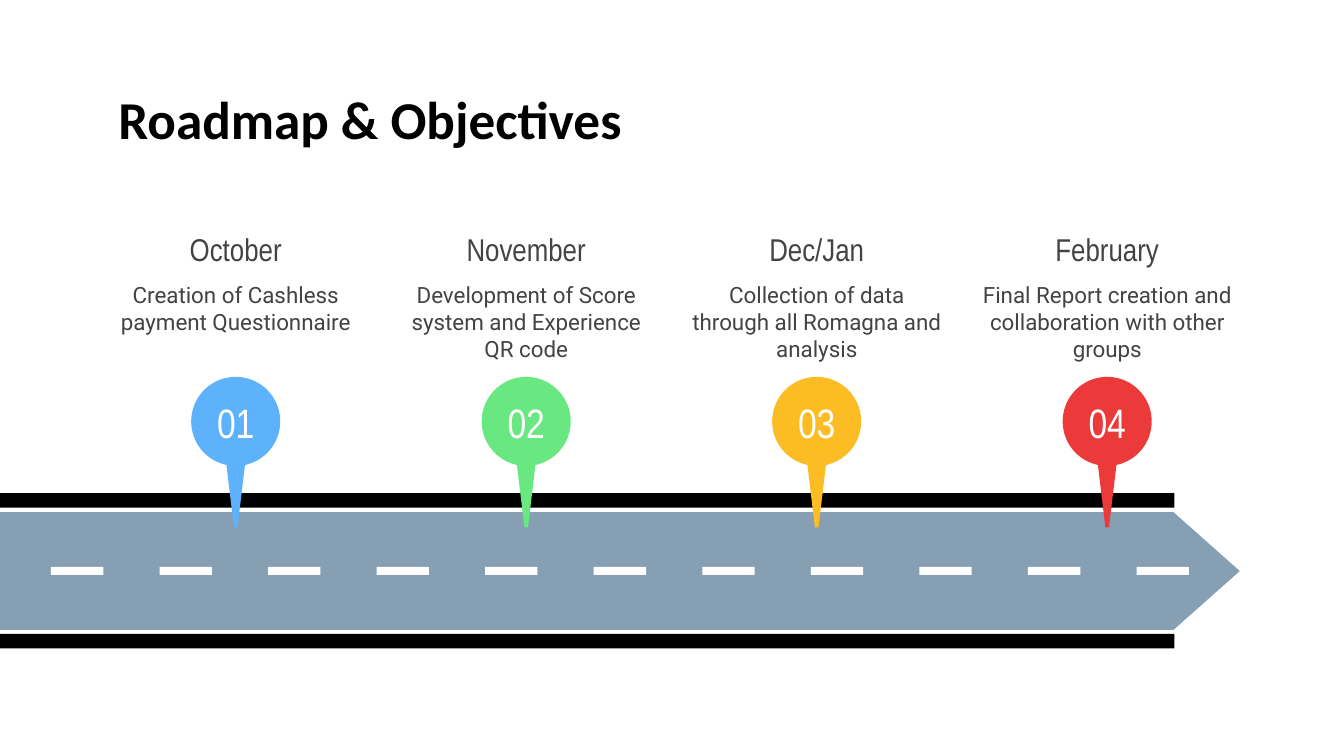
from math import cos, radians, sin

from pptx import Presentation
from pptx.dml.color import RGBColor
from pptx.enum.shapes import MSO_SHAPE
from pptx.enum.text import MSO_ANCHOR, PP_ALIGN
from pptx.util import Pt

RECT = MSO_SHAPE.RECTANGLE
TOP, MIDDLE = MSO_ANCHOR.TOP, MSO_ANCHOR.MIDDLE
LEFT, CENTER = PP_ALIGN.LEFT, PP_ALIGN.CENTER

STEPS = [
    ("October", "Creation of Cashless payment Questionnaire", "5EB2FC"),
    ("November", "Development of Score system and Experience QR code", "69E781"),
    ("Dec/Jan", "Collection of data through all Romagna and analysis", "FCBD24"),
    ("February", "Final Report creation and collaboration with other groups", "EC3A3B"),
]


def color(code):
    return RGBColor.from_string(code)


class Board:
    head = "Calibri"
    label = "Arial Narrow"
    body = "Roboto"
    ink = "434343"
    inset = 9.6

    def __init__(self, slide):
        self.shapes = slide.shapes

    def paint(self, shape, fill):
        shape.shadow.inherit = False
        shape.fill.solid()
        shape.fill.fore_color.rgb = color(fill)
        shape.line.fill.background()
        return shape

    def bar(self, x, y, w, h, fill):
        self.paint(self.shapes.add_shape(RECT, Pt(x), Pt(y), Pt(w), Pt(h)), fill)

    def outline(self, points, fill):
        """Draw a filled closed polygon through the points."""
        start, *rest = [(Pt(x), Pt(y)) for x, y in points]
        pen = self.shapes.build_freeform(*start, scale=1.0)
        pen.add_line_segments(rest, close=True)
        return self.paint(pen.convert_to_shape(), fill)

    def letter(self, shape, text, size, font, ink, align=CENTER,
               anchor=TOP, top=inset, bold=False):
        """Put styled text into a shape."""
        frame = shape.text_frame
        frame.text = text
        frame.word_wrap = True
        frame.vertical_anchor = anchor
        frame.margin_left = frame.margin_right = Pt(self.inset)
        frame.margin_top, frame.margin_bottom = Pt(top), Pt(self.inset)
        para = frame.paragraphs[0]
        para.alignment = align
        face = para.runs[0].font
        face.size, face.name, face.bold = Pt(size), font, bold
        face.color.rgb = color(ink)

    def text(self, x, y, w, h, *args, **style):
        box = self.shapes.add_textbox(Pt(x), Pt(y), Pt(w), Pt(h))
        self.letter(box, *args, **style)

    def pin(self, x, number, fill):
        """Draw a numbered round head on a spike, centred on x."""
        mid, radius, tip = 301, 31.8, 376.6
        angles = [radians(a) for a in range(102, 439, 4)]
        points = [(x + radius * cos(a), mid + radius * sin(a)) for a in angles]
        points += [(x + 1.3, tip), (x - 1.3, tip)]
        self.letter(self.outline(points, fill), number, 29.3, self.label,
                    "FFFFFF", top=14.4)

    def road(self):
        end, top, low = 838.2, 365.8, 450
        self.outline([(0, top), (end, top), (885.6, (top + low) / 2),
                      (end, low), (0, low)], "869FB2")
        for y in (352.3, 452.8):
            self.bar(0, y, 838.9, 10.4, "000000")
        for i in range(11):
            self.bar(36.4 + 77.54 * i, 404.9, 37.4, 5.7, "FFFFFF")

    def step(self, index, month, goal, fill):
        x, wide = 168.4 + 207.5 * index, 198
        left = x - wide / 2
        self.pin(x, f"{index + 1:02}", fill)
        self.text(left, 154.8, wide, 45.4, month, 22.5, self.label, self.ink,
                  anchor=MIDDLE)
        self.text(left, 191.5, wide, 56.2, goal, 16, self.body, self.ink)


def main():
    deck = Presentation()
    deck.slide_width, deck.slide_height = Pt(960), Pt(540)
    board = Board(deck.slides.add_slide(deck.slide_layouts[6]))
    board.text(75, 59, 810.7, 50.4, "Roadmap & Objectives", 38, board.head,
               "000000", align=LEFT, anchor=MIDDLE, bold=True)
    board.road()
    for index, step in enumerate(STEPS):
        board.step(index, *step)
    deck.save("out.pptx")


if __name__ == "__main__":
    main()
